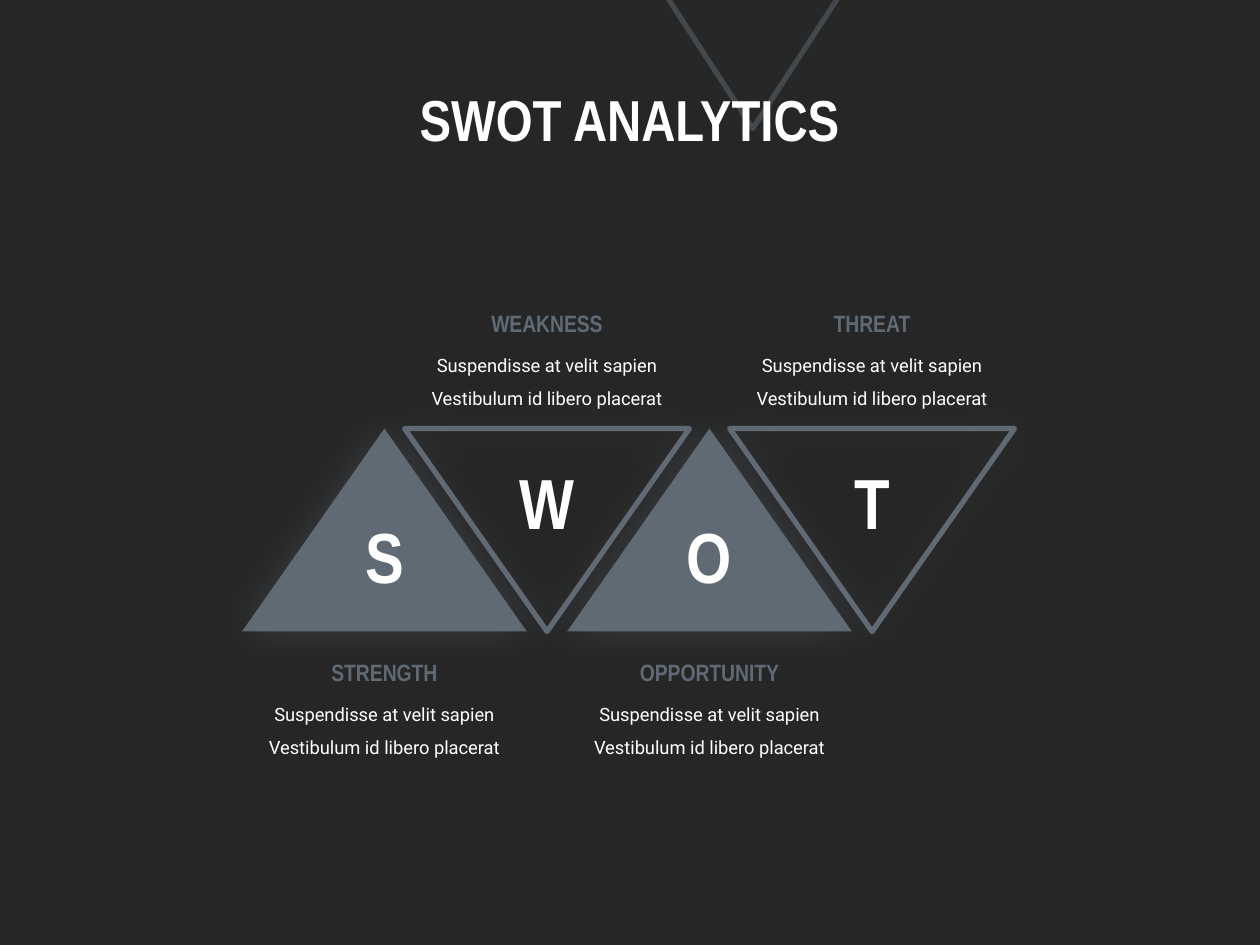
import pptx
import pptx.dml.color
import pptx.enum.shapes
import pptx.enum.text
import pptx.oxml
import pptx.oxml.ns
import pptx.util
from pptx.util import Cm

SLATE, WHITE, DARK = "606A74", "FFFFFF", "262626"
NS = pptx.oxml.ns.nsdecls("a")
BODY = "Suspendisse at velit sapien Vestibulum id libero placerat"


def rgb(value):
    """Turn a hex string into a colour."""
    return pptx.dml.color.RGBColor.from_string(value)


def write(sp, text, size=10.5, font="Roboto", color=WHITE, bold=False,
          spacing=1.0, anchor=pptx.enum.text.MSO_ANCHOR.TOP):
    """Fill a shape with one centred, formatted paragraph."""
    tf = sp.text_frame
    tf.word_wrap = True
    tf.auto_size = pptx.enum.text.MSO_AUTO_SIZE.NONE
    tf.vertical_anchor = anchor
    p = tf.paragraphs[0]
    p.alignment = pptx.enum.text.PP_ALIGN.CENTER
    p.line_spacing = spacing
    r = p.add_run()
    r.text = text
    r.font.size = pptx.util.Pt(size)
    r.font.name = font
    r.font.bold = bold
    r.font.color.rgb = rgb(color)


def add_text(s, left, top, width, height, text, **fmt):
    """Add a text box with formatted text."""
    sp = s.shapes.add_textbox(Cm(left), Cm(top), Cm(width), Cm(height))
    write(sp, text, **fmt)


def add_triangle(s, left, top, width, height, filled, line_alpha=100):
    """Add a glowing triangle: filled pointing up, or outlined pointing down."""
    kind = pptx.enum.shapes.MSO_SHAPE.ISOSCELES_TRIANGLE
    sp = s.shapes.add_shape(kind, Cm(left), Cm(top), Cm(width), Cm(height))
    if filled:
        sp.fill.solid()
        sp.fill.fore_color.rgb = rgb(SLATE)
        sp.line.fill.background()
    else:
        sp.rotation = 180
        sp.fill.background()
        sp.line.width = pptx.util.Pt(3)
        sp.line.color.rgb = rgb(SLATE)
        color = sp.element.spPr.find(".//" + pptx.oxml.ns.qn("a:srgbClr"))
        color.append(pptx.oxml.parse_xml(
            f'<a:alpha {NS} val="{line_alpha * 1000}"/>'))
    sp.element.spPr.append(pptx.oxml.parse_xml(
        f'<a:effectLst {NS}><a:outerShdw blurRad="{pptx.util.Pt(25)}" dist="0" '
        f'dir="0" algn="ctr" rotWithShape="0"><a:srgbClr val="{SLATE}">'
        '<a:alpha val="35000"/></a:srgbClr></a:outerShdw></a:effectLst>'))
    return sp


def add_header(s, left, top, width, height, text):
    """Place the title and the faint triangle behind it."""
    title = s.shapes.title
    title.left, title.top = Cm(left), Cm(top)
    title.width, title.height = Cm(width), Cm(height)
    write(title, text, size=33, font="Arial Narrow", bold=True, spacing=0.9,
          anchor=pptx.enum.text.MSO_ANCHOR.MIDDLE)
    sp = add_triangle(s, left + 7, top - 1.65, 3.91, 3, False, line_alpha=50)
    title.element.addprevious(sp.element)


def add_factor(s, left, top, width, height, heading, filled):
    """Place one triangle with its letter, heading and description."""
    add_triangle(s, left, top, width, height, filled)
    add_text(s, left + (width - 1.93) / 2, top + (1.57 if filled else 0.48),
             1.93, 1.98, heading[0], size=40.5, font="Arial Narrow", bold=True)
    head_top = top + (4.5 if filled else -2.54)
    add_text(s, left + (width - 5.66) / 2, head_top + 0.69, 5.66, 1.52,
             BODY, spacing=1.5)
    add_text(s, left + (width - 4.67) / 2, head_top, 4.67, 0.84, heading,
             size=13.5, font="Arial Narrow", color=SLATE, bold=True)


def add_swot(s, left, top, width, height):
    """Interlock the four factors in a row across the box."""
    side = 5.74
    pitch = (width - side) / 3
    for i, heading in enumerate(["STRENGTH", "WEAKNESS", "OPPORTUNITY", "THREAT"]):
        add_factor(s, left + i * pitch, top, side, height, heading, i % 2 == 0)


def main():
    """Build and save the slide."""
    prs = pptx.Presentation()
    prs.slide_width, prs.slide_height = Cm(25.4), Cm(19.05)
    s = prs.slides.add_slide(prs.slide_layouts[0])
    s.background.fill.solid()
    s.background.fill.fore_color.rgb = rgb(DARK)
    subtitle = s.placeholders[1].element
    subtitle.getparent().remove(subtitle)
    add_header(s, 6.22, 1.24, 12.95, 2.49, "SWOT ANALYTICS")
    add_swot(s, 4.88, 8.64, 15.57, 4.09)
    prs.save("out.pptx")


if __name__ == "__main__":
    main()
